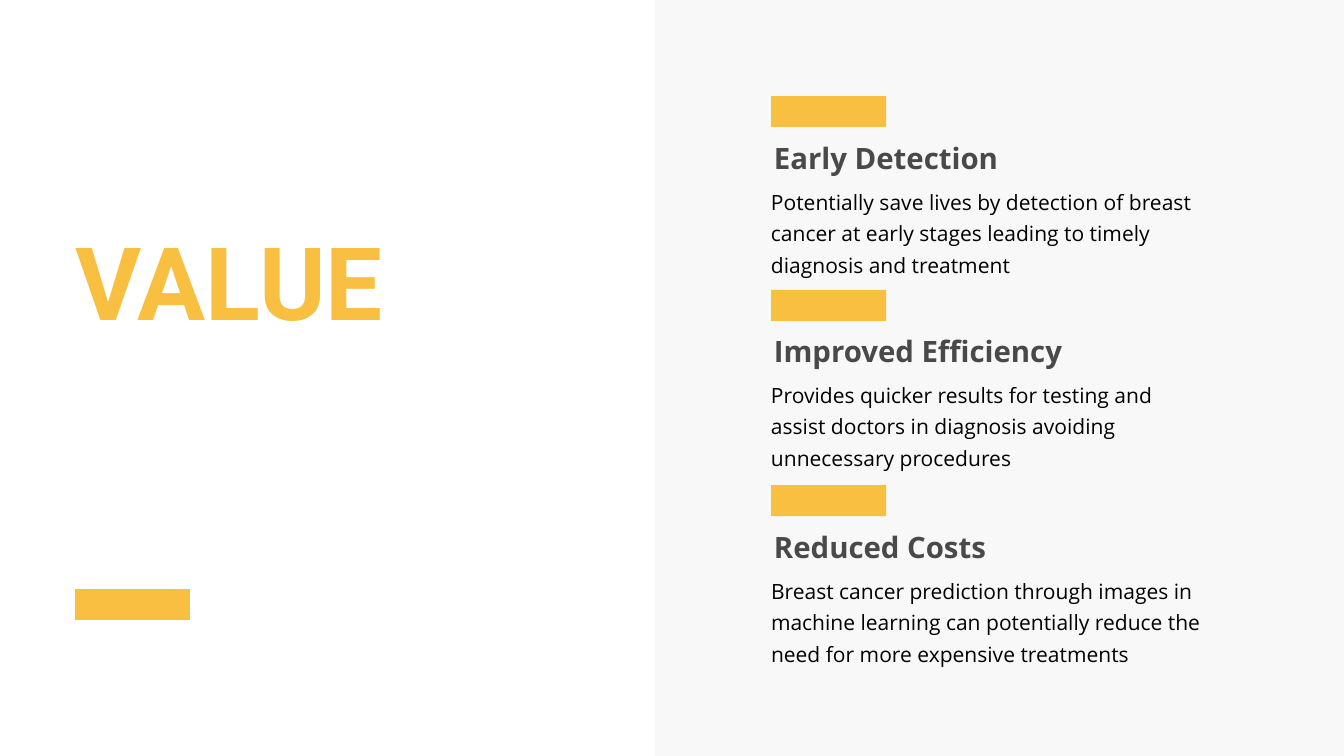
from dataclasses import dataclass

from lxml import etree
from pptx import Presentation
from pptx import util as u
from pptx.dml.color import RGBColor
from pptx.oxml.ns import qn

EMU_PER_PIXEL = 914400 / 67.2


@dataclass(frozen=True)
class Theme:
    """Colours, fonts and type sizes of the slide."""
    accent: str = "F9BF40"
    panel: str = "DDDDDD"
    panel_opacity: int = 18
    heading: str = "494949"
    body: str = "000000"
    title_font: str = "Roboto"
    text_font: str = "Open Sans"
    title_size: float = 108.5
    heading_size: float = 31.5
    body_size: float = 22.5


THEME = Theme()
BAR_SIZE = (115, 31)
BENEFIT_BAR_TOPS = (485, 290, 96)
BENEFITS = [
    (120, 434, 153, "Early Detection",
     "Potentially save lives by detection of breast cancer at early stages "
     "leading to timely diagnosis and treatment"),
    (313, 434, 153, "Improved Efficiency",
     "Provides quicker results for testing and assist doctors in diagnosis "
     "avoiding unnecessary procedures"),
    (509, 499, 185, "Reduced Costs",
     "Breast cancer prediction through images in machine learning can "
     "potentially reduce the need for more expensive treatments"),
]


def px(pixels):
    """Turn pixels into EMU."""
    return u.Emu(round(pixels * EMU_PER_PIXEL))


def add_blocks(slide, left, tops, size, color, opacity=100):
    """Add equal filled rectangles, one per top, as a single outline."""
    width, height = size
    builder = slide.shapes.build_freeform(left, tops[0], scale=EMU_PER_PIXEL)
    for top in tops:
        if top != tops[0]:
            builder.move_to(left, top)
        builder.add_line_segments([
            (left + width, top), (left + width, top + height),
            (left, top + height)], close=True)
    shape = builder.convert_to_shape()
    shape.shadow.inherit = False
    shape.fill.solid()
    shape.fill.fore_color.rgb = RGBColor.from_string(color)
    shape.line.fill.background()
    if opacity < 100:
        fill_color = shape._element.spPr.find(qn("a:solidFill"))[0]
        etree.SubElement(fill_color, qn("a:alpha"), val=str(opacity * 1000))


def add_text_frame(slide, left, top, width, height, inset_top, inset_right=0):
    """Add a wrapping text box and return its text frame."""
    frame = slide.shapes.add_textbox(
        px(left), px(top), px(width), px(height)).text_frame
    frame.word_wrap = True
    frame.margin_left = frame.margin_bottom = 0
    frame.margin_top = px(inset_top)
    frame.margin_right = px(inset_right)
    return frame


def style_paragraph(paragraph, text, font, size, color, bold, indent):
    """Write a paragraph and set its font and left indent."""
    paragraph.text = text
    paragraph.font.name = font
    paragraph.font.size = u.Pt(size)
    paragraph.font.bold = bold
    paragraph.font.color.rgb = RGBColor.from_string(color)
    paragraph._p.get_or_add_pPr().set("marL", str(px(indent)))


def add_title(slide, text):
    """Add the large slide title."""
    frame = add_text_frame(slide, 75, 169, 459, 208, inset_top=50)
    style_paragraph(frame.paragraphs[0], text, THEME.title_font,
                    THEME.title_size, THEME.accent, True, 0)


def add_benefit(slide, top, width, height, heading, body):
    """Add a benefit's heading and description."""
    frame = add_text_frame(slide, 770, top, width, height,
                           inset_top=20, inset_right=width - 434)
    style_paragraph(frame.paragraphs[0], heading, THEME.text_font,
                    THEME.heading_size, THEME.heading, True, 4)
    description = frame.add_paragraph()
    style_paragraph(description, body, THEME.text_font,
                    THEME.body_size, THEME.body, False, 1)
    description.line_spacing = 1.25
    description.space_before = u.Pt(8.2)


def main():
    """Build and save the slide."""
    presentation = Presentation()
    presentation.slide_width = px(1344)
    presentation.slide_height = px(756)
    slide = presentation.slides.add_slide(presentation.slide_layouts[6])
    add_blocks(slide, 655, [0], (689, 756), THEME.panel, THEME.panel_opacity)
    add_blocks(slide, 75, [589], BAR_SIZE, THEME.accent)
    add_title(slide, "VALUE")
    for benefit in BENEFITS:
        add_benefit(slide, *benefit)
    add_blocks(slide, 771, BENEFIT_BAR_TOPS, BAR_SIZE, THEME.accent)
    presentation.save("out.pptx")


main()
